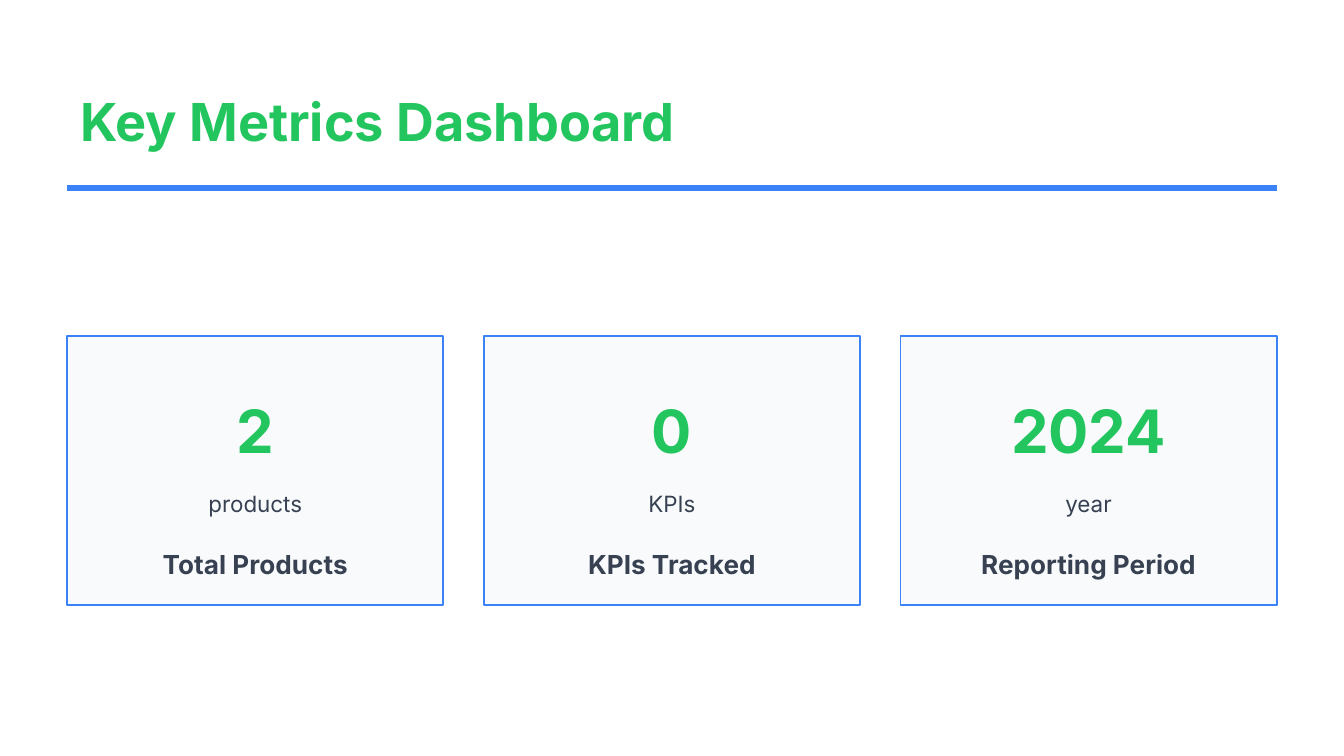
from dataclasses import dataclass

from lxml.etree import SubElement
from pptx import Presentation
from pptx.dml.color import RGBColor as Color
from pptx.enum.shapes import MSO_CONNECTOR as Link, MSO_SHAPE as Shape
from pptx.enum.text import MSO_ANCHOR as Anchor, PP_ALIGN as Align
from pptx.oxml.ns import qn
from pptx.util import Emu, Pt


@dataclass(frozen=True)
class Theme:
    font: str = "Inter"
    page: str = "FFFFFF"
    green: str = "22C55E"
    blue: str = "3B82F6"
    panel: str = "F8FAFC"
    ink: str = "374151"
    title: int = 28
    value: int = 32
    unit: int = 12
    label: int = 14
    rule: int = 3
    edge: int = 1


THEME = Theme()
SCALE = 4572
WIDTH, HEIGHT = 2000, 1125
LEFT, RIGHT = 100, 1900
CARD_TOP, CARD_WIDE, CARD_HIGH, GAP = 500, 560, 400, 60
CARDS = [
    ("2", "products", "Total Products"),
    ("0", "KPIs", "KPIs Tracked"),
    ("2024", "year", "Reporting Period"),
]


def px(size):
    return Emu(size * SCALE)


def tint(hue):
    return Color.from_string(hue)


def add_text(slide, words, box, size, hue, bold=True, align=Align.CENTER):
    frame = slide.shapes.add_textbox(*map(px, box)).text_frame
    frame.word_wrap = True
    frame.vertical_anchor = Anchor.MIDDLE
    para = frame.paragraphs[0]
    para.alignment = align
    run = para.add_run()
    run.text = words
    run.font.name = THEME.font
    run.font.size = Pt(size)
    run.font.bold = bold
    run.font.color.rgb = tint(hue)


def add_rule(slide, left, right, top):
    rule = slide.shapes.add_connector(
        Link.STRAIGHT, px(left), px(top), px(right), px(top)
    )
    rule.line.color.rgb = tint(THEME.blue)
    rule.line.width = Pt(THEME.rule)
    SubElement(rule._element.spPr, qn("a:effectLst"))


def add_panel(slide, box):
    panel = slide.shapes.add_shape(Shape.RECTANGLE, *map(px, box))
    panel.shadow.inherit = False
    panel.fill.solid()
    panel.fill.fore_color.rgb = tint(THEME.panel)
    panel.line.color.rgb = tint(THEME.blue)
    panel.line.width = Pt(THEME.edge)


def add_card(slide, left, value, unit, label):
    add_panel(slide, (left, CARD_TOP, CARD_WIDE, CARD_HIGH))
    rows = [
        (value, 60, 160, THEME.value, THEME.green, True),
        (unit, 220, 60, THEME.unit, THEME.ink, False),
        (label, 300, 80, THEME.label, THEME.ink, True),
    ]
    for words, drop, high, size, hue, bold in rows:
        box = (left, CARD_TOP + drop, CARD_WIDE, high)
        add_text(slide, words, box, size, hue, bold)


def main():
    deck = Presentation()
    deck.slide_width, deck.slide_height = px(WIDTH), px(HEIGHT)
    slide = deck.slides.add_slide(deck.slide_layouts[6])
    slide.background.fill.solid()
    slide.background.fill.fore_color.rgb = tint(THEME.page)
    add_text(
        slide, "Key Metrics Dashboard", (LEFT, 100, RIGHT - LEFT, 160),
        THEME.title, THEME.green, align=Align.LEFT,
    )
    add_rule(slide, LEFT, RIGHT, 280)
    for index, card in enumerate(CARDS):
        add_card(slide, LEFT + index * (CARD_WIDE + GAP), *card)
    deck.save("out.pptx")


if __name__ == "__main__":
    main()
